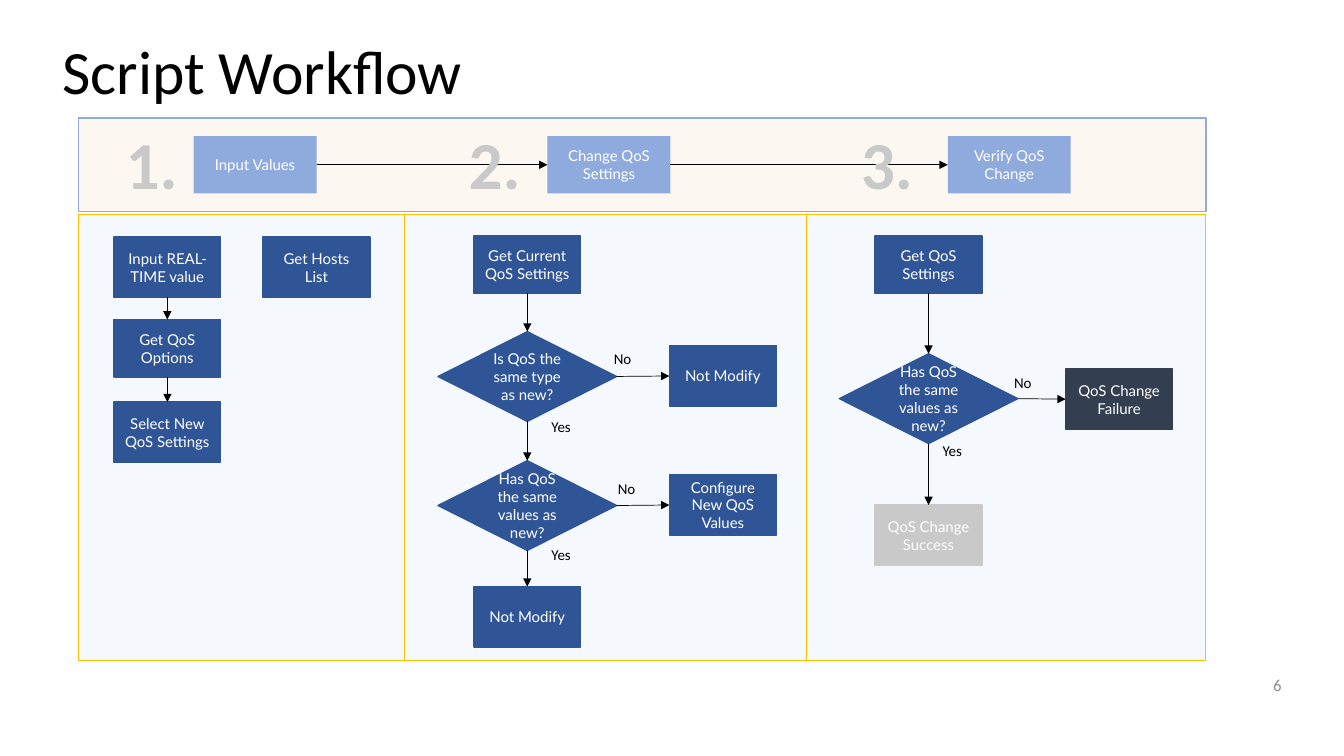
from dataclasses import dataclass

from lxml.etree import SubElement
from pptx import Presentation
from pptx.dml.color import RGBColor as Rgb
from pptx.enum.shapes import MSO_CONNECTOR as Conn, MSO_SHAPE as Kind
from pptx.enum.text import MSO_ANCHOR as Anchor, PP_ALIGN as Align
from pptx.oxml.ns import qn
from pptx.util import Inches, Pt


@dataclass(frozen=True)
class Theme:
    ink: str = "000000"
    paper: str = "FFFFFF"
    blue: str = "2F5597"
    pale: str = "8FAADC"
    slate: str = "333F50"
    grey: str = "C9C9C9"
    dim: str = "8C8C8C"
    peach: str = "F4B183"
    sky: str = "9DC3E6"
    gold: str = "FFC000"
    head: str = "Calibri"
    body: str = "Lato"
    title: float = 44
    digit: float = 48
    page: float = 12
    text: float = 10.7
    edge: float = 1
    wire: float = 0.5


class Flow:
    """Draws the parts of a workflow on one slide in one theme."""

    def __init__(self, slide, theme):
        self.slide, self.theme = slide, theme

    def fill_text(self, frame, text, size, face, color, align):
        frame.text = text
        para = frame.paragraphs[0]
        para.alignment = align
        font = para.font
        font.name, font.size = face, Pt(size)
        font.color.rgb = Rgb.from_string(color)
        return para

    def title(self, text, left, top, width, height):
        hold = self.slide.shapes.title
        hold.left, hold.top = Inches(left), Inches(top)
        hold.width, hold.height = Inches(width), Inches(height)
        hold.text_frame.vertical_anchor = Anchor.MIDDLE
        para = self.fill_text(hold.text_frame, text, self.theme.title,
                              self.theme.head, self.theme.ink, Align.LEFT)
        para.line_spacing = 0.9

    def shape(self, kind, left, top, width, height, fill, line=None):
        item = self.slide.shapes.add_shape(
            kind, Inches(left), Inches(top), Inches(width), Inches(height))
        item.shadow.inherit = False
        item.fill.solid()
        item.fill.fore_color.rgb = Rgb.from_string(fill)
        if line:
            item.line.color.rgb = Rgb.from_string(line)
            item.line.width = Pt(self.theme.edge)
        else:
            item.line.fill.background()
        return item

    def panel(self, left, top, width, height, fill, line):
        item = self.shape(Kind.RECTANGLE, left, top, width, height, fill, line)
        tint = item._element.spPr.find(qn("a:solidFill"))[0]
        SubElement(tint, qn("a:alpha"), val="10000")

    def node(self, text, mid, top, width=1.06, height=0.6, fill=None,
             line=True, kind=Kind.RECTANGLE):
        fill = fill or self.theme.blue
        item = self.shape(kind, mid - width / 2, top, width, height, fill,
                          fill if line else None)
        item.text_frame.vertical_anchor = Anchor.MIDDLE
        self.fill_text(item.text_frame, text, self.theme.text,
                       self.theme.body, self.theme.paper, Align.CENTER)
        return item

    def step(self, text, mid):
        return self.node(text, mid, 1.35, 1.22, 0.57, self.theme.pale, False)

    def test(self, text, mid, top):
        return self.node(text, mid, top, 1.77, 0.89, kind=Kind.FLOWCHART_DECISION)

    def arrow(self, start, end, across=False):
        wire = self.slide.shapes.add_connector(Conn.STRAIGHT, 0, 0, 0, 0)
        wire.begin_connect(start, 3 if across else 2)
        wire.end_connect(end, 1 if across else 0)
        wire.line.color.rgb = Rgb.from_string(self.theme.ink)
        wire.line.width = Pt(self.theme.wire)
        props = wire._element.spPr
        SubElement(props.find(qn("a:ln")), qn("a:tailEnd"), type="triangle")
        SubElement(props, qn("a:effectLst"))

    def label(self, text, left, top, width, height, size=None, color=None,
              align=Align.RIGHT):
        box = self.slide.shapes.add_textbox(
            Inches(left), Inches(top), Inches(width), Inches(height))
        frame = box.text_frame
        frame.word_wrap = True
        self.fill_text(frame, text, size or self.theme.text, self.theme.head,
                       color or self.theme.ink, align)
        return frame

    def digit(self, text, left, top):
        frame = self.label(text, left, top, 0.79, 0.94, self.theme.digit,
                           self.theme.grey, Align.CENTER)
        frame.word_wrap = False
        frame.margin_left = frame.margin_right = Inches(0.13)
        frame.margin_top = frame.margin_bottom = Inches(0.07)
        frame.paragraphs[0].font.bold = True

    def page(self, text):
        frame = self.label(text, 12.38, 6.7, 0.43, 0.19, self.theme.page,
                           self.theme.dim)
        frame.margin_top = frame.margin_bottom = 0
        frame.vertical_anchor = Anchor.MIDDLE


def main():
    deck = Presentation()
    deck.slide_width, deck.slide_height = Inches(13.33), Inches(7.5)
    theme = Theme()
    flow = Flow(deck.slides.add_slide(deck.slide_layouts[5]), theme)

    flow.title("Script Workflow", 0.52, 0.32, 12.29, 0.83)
    flow.page("6")
    flow.panel(0.78, 1.17, 11.18, 0.93, theme.peach, theme.pale)
    edges = (0.78, 4.01, 8, 11.96)
    for left, right in zip(edges, edges[1:]):
        flow.panel(left, 2.13, right - left, 4.42, theme.sky, theme.gold)

    steps = [flow.step(text, mid) for text, mid in (
        ("Input Values", 2.53), ("Change QoS Settings", 6.04),
        ("Verify QoS Change", 10.01))]

    first, second, third = 1.66, 5.23, 9.21
    enter = flow.node("Input REAL-TIME value", first, 2.35)
    options = flow.node("Get QoS Options", first, 3.17, height=0.57)
    choose = flow.node("Select New QoS Settings", first, 3.99)
    flow.node("Get Hosts List", 3.14, 2.35)

    current = flow.node("Get Current QoS Settings", second, 2.34, height=0.57)
    same = flow.test("Is QoS the same type as new?", second, 3.29)
    equal = flow.test("Has QoS the same values as new?", second, 4.57)
    keep = flow.node("Not Modify", second, 5.82)
    skip = flow.node("Not Modify", 7.17, 3.43)
    config = flow.node("Configure New QoS Values", 7.17, 4.71)

    fetch = flow.node("Get QoS Settings", third, 2.34, height=0.57)
    check = flow.test("Has QoS the same values as new?", third, 3.51)
    good = flow.node("QoS Change Success", third, 5.01, fill=theme.grey)
    bad = flow.node("QoS Change Failure", 11.1, 3.66, fill=theme.slate)

    for chain in ((enter, options, choose), (current, same, equal, keep),
                  (fetch, check, good)):
        for start, end in zip(chain, chain[1:]):
            flow.arrow(start, end)
    for start, end in (*zip(steps, steps[1:]), (same, skip),
                       (equal, config), (check, bad)):
        flow.arrow(start, end, across=True)

    for right, top in ((5.76, 4.09), (5.76, 5.36), (9.64, 4.33)):
        flow.label("Yes", right - 0.6, top, 0.6, 0.28)
    for left, top in ((5.86, 3.42), (5.9, 4.71), (9.83, 3.66)):
        flow.label("No", left, top, 0.5, 0.28)
    for count, left in enumerate((1.11, 4.51, 8.4), 1):
        flow.digit(f"{count}.", left, 1.14)

    deck.save("out.pptx")


if __name__ == "__main__":
    main()
